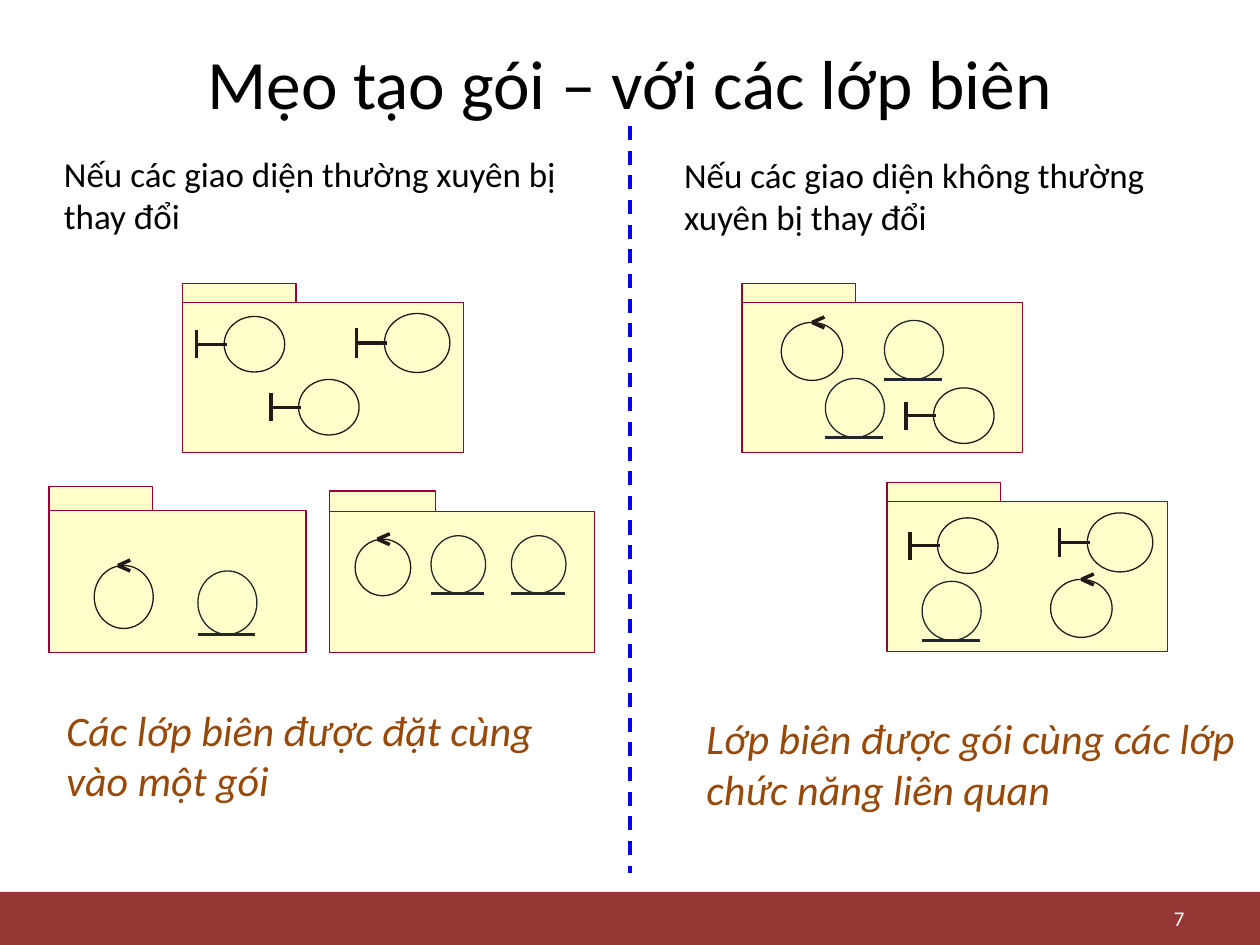
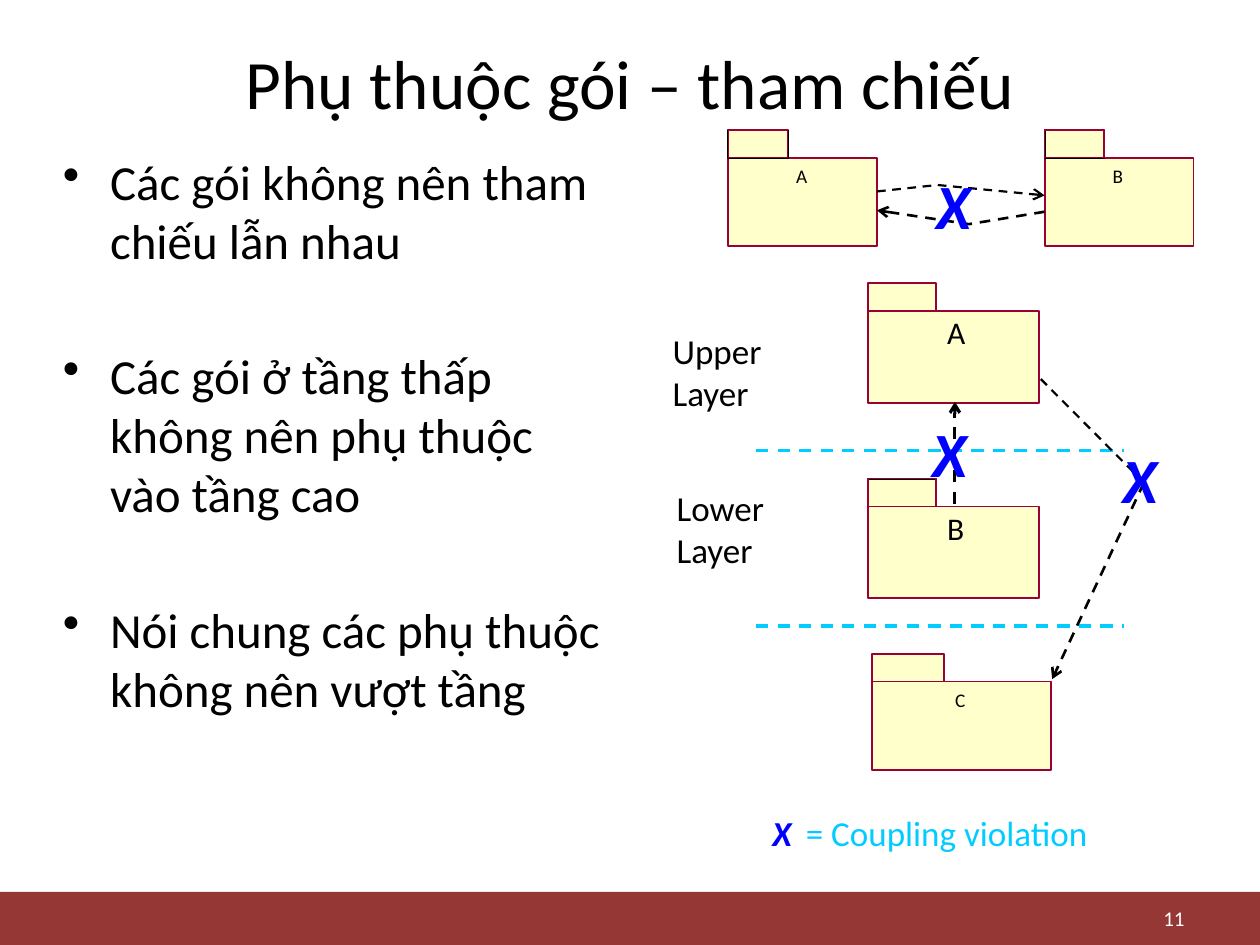
from dataclasses import dataclass

from lxml.etree import SubElement
from pptx import Presentation
from pptx.dml.color import RGBColor
from pptx.enum.dml import MSO_LINE
from pptx.enum.shapes import MSO_CONNECTOR, MSO_SHAPE
from pptx.enum.text import MSO_ANCHOR, MSO_AUTO_SIZE, PP_ALIGN
from pptx.oxml.ns import qn
from pptx.util import Cm, Pt


@dataclass(frozen=True)
class TextStyle:
    size: float
    color: str = "000000"
    bold: bool = False
    italic: bool = False


@dataclass(frozen=True)
class Theme:
    font: str = "Calibri"
    band: str = "953735"
    package_fill: str = "FFFFCC"
    package_edge: str = "990033"
    ink: str = "1F1A17"
    entity_ink: str = "242728"
    black: str = "000000"
    divider: str = "0000FF"
    layer: str = "00CCFF"
    title: TextStyle = TextStyle(39.6)
    number: TextStyle = TextStyle(12, "FFFFFF")
    body: TextStyle = TextStyle(20)
    bullet: TextStyle = TextStyle(28)
    conclusion: TextStyle = TextStyle(24, "984807", italic=True)
    small_label: TextStyle = TextStyle(11)
    large_label: TextStyle = TextStyle(18)
    violation: TextStyle = TextStyle(36, "0000FF", bold=True, italic=True)
    legend_mark: TextStyle = TextStyle(20, "0000FF", bold=True, italic=True)
    legend_gap: TextStyle = TextStyle(36, "00CCFF", bold=True, italic=True)
    legend: TextStyle = TextStyle(20, "00CCFF")


THEME = Theme()
DEFAULT_INSETS = (0.25, 0.13)
WIDE_INSETS = (0.3, 0.15)


# Basic elements; every box is left, top, width, height in centimetres
def style_line(shape, color, width, dashed=False, arrow=False):
    shape.line.color.rgb = RGBColor.from_string(color)
    shape.line.width = Pt(width)
    if dashed:
        shape.line.dash_style = MSO_LINE.DASH
    if arrow:
        outline = shape.element.spPr.find(qn("a:ln"))
        SubElement(outline, qn("a:tailEnd"), type="arrow")


def add_preset(slide, kind, box, fill=None, line=None, width=0):
    shape = slide.shapes.add_shape(kind, *map(Cm, box))
    shape.shadow.inherit = False
    if fill:
        shape.fill.solid()
        shape.fill.fore_color.rgb = RGBColor.from_string(fill)
    else:
        shape.fill.background()
    if line:
        style_line(shape, line, width)
    else:
        shape.line.fill.background()
    return shape


def add_line(slide, start, end, color, width=0, **options):
    connector = slide.shapes.add_connector(
        MSO_CONNECTOR.STRAIGHT, *map(Cm, start + end))
    style_line(connector, color, width, **options)
    SubElement(connector.element.spPr, qn("a:effectLst"))


def add_bent_arrow(slide, points, width):
    start, *others = [(Cm(x), Cm(y)) for x, y in points]
    builder = slide.shapes.build_freeform(*start)
    builder.add_line_segments(others, close=False)
    shape = builder.convert_to_shape()
    shape.shadow.inherit = False
    shape.fill.background()
    style_line(shape, THEME.black, width, dashed=True, arrow=True)


def add_run(paragraph, text, style):
    run = paragraph.add_run()
    run.text = text
    font = run.font
    font.name = THEME.font
    font.size = Pt(style.size)
    font.bold = style.bold
    font.italic = style.italic
    font.color.rgb = RGBColor.from_string(style.color)


def add_text(slide, box, paragraphs, insets=WIDE_INSETS, wrap=True, grow=True,
             anchor=MSO_ANCHOR.TOP, align=PP_ALIGN.LEFT):
    """Each paragraph is a list of (text, style) runs."""
    frame = slide.shapes.add_textbox(*map(Cm, box)).text_frame
    frame.word_wrap = wrap
    frame.auto_size = (MSO_AUTO_SIZE.SHAPE_TO_FIT_TEXT if grow
                       else MSO_AUTO_SIZE.NONE)
    frame.vertical_anchor = anchor
    frame.margin_left = frame.margin_right = Cm(insets[0])
    frame.margin_top = frame.margin_bottom = Cm(insets[1])
    for index, runs in enumerate(paragraphs):
        paragraph = frame.add_paragraph() if index else frame.paragraphs[0]
        paragraph.alignment = align
        for text, style in runs:
            add_run(paragraph, text, style)
    return frame


def add_bullets(slide, box, items, gap):
    frame = add_text(slide, box, [[(item, THEME.bullet)] for item in items],
                     insets=DEFAULT_INSETS, grow=False)
    for index, paragraph in enumerate(frame.paragraphs):
        paragraph.space_before = Pt(gap if index else 0)
        properties = paragraph._p.get_or_add_pPr()
        properties.set("marL", str(Cm(0.95)))
        properties.set("indent", str(-Cm(0.95)))
        SubElement(properties, qn("a:buChar"), char="•")


# Packages and class symbols
def add_package(slide, body, tab_size, width=0, black_tab=False):
    left, top = body[:2]
    tab_width, tab_height = tab_size
    tab = (left, top - tab_height, tab_width, tab_height)
    fill, edge = THEME.package_fill, THEME.package_edge
    add_preset(slide, MSO_SHAPE.RECTANGLE, body, fill, edge, width)
    if black_tab:
        add_preset(slide, MSO_SHAPE.RECTANGLE, tab, fill, THEME.black, width)
        add_preset(slide, MSO_SHAPE.RECTANGLE, tab, line=edge)
    else:
        add_preset(slide, MSO_SHAPE.RECTANGLE, tab, fill, edge, width)


def add_package_label(slide, body, text, style, drop):
    left, top, width, _ = body
    add_text(slide, (left + width / 2 - 0.13, top + drop, 0.25, 0.43),
             [[(text, style)]], insets=(0, 0), wrap=False)


def add_circle(slide, box, color):
    add_preset(slide, MSO_SHAPE.OVAL, box, THEME.package_fill, color)


def add_boundary(slide, left, top, width=1.22, height=1.12):
    add_circle(slide, (left, top, width, height), THEME.ink)
    bar, middle = left - 0.56, top + height / 2
    add_line(slide, (bar, middle - height / 4), (bar, middle + height / 4), THEME.ink)
    add_line(slide, (bar, middle), (left + 0.05, middle), THEME.ink)


def add_control(slide, left, top, width=1.24, height=1.17, tip_share=0.5):
    add_circle(slide, (left, top, width, height), THEME.ink)
    tip = left + width * tip_share
    for rise in (-0.11, 0.11):
        add_line(slide, (tip + 0.25, top + rise), (tip, top), THEME.ink)


def add_entity(slide, left, top, width=1.19, height=1.19):
    add_circle(slide, (left, top, width, height), THEME.entity_ink)
    base = top + height
    add_line(slide, (left, base), (left + width - 0.03, base), THEME.entity_ink)


# Shared slide frame
def add_slide(presentation, title, number):
    slide = presentation.slides.add_slide(presentation.slide_layouts[6])
    add_preset(slide, MSO_SHAPE.RECTANGLE, (0, 17.98, 25.4, 1.07), THEME.band)
    common = dict(insets=DEFAULT_INSETS, grow=False, anchor=MSO_ANCHOR.MIDDLE)
    add_text(slide, (1.27, 0.76, 22.86, 1.78), [[(title, THEME.title)]],
             align=PP_ALIGN.CENTER, **common)
    add_text(slide, (18.21, 18.16, 5.92, 0.69), [[(str(number), THEME.number)]],
             align=PP_ALIGN.RIGHT, **common)
    return slide


def build_boundary_slide(presentation):
    slide = add_slide(presentation, "Mẹo tạo gói – với các lớp biên", 7)

    # Left: boundary classes in a package of their own
    add_package(slide, (3.68, 6.1, 5.66, 3.02), (2.29, 0.38))
    add_boundary(slide, 7.75, 6.32, 1.32, 1.19)
    add_boundary(slide, 6.02, 7.65)
    add_boundary(slide, 4.52, 6.38)
    add_package(slide, (0.99, 10.29, 5.18, 2.87), (2.08, 0.48))
    add_control(slide, 1.9, 11.4, 1.19, 1.27, tip_share=0.4)
    add_entity(slide, 3.99, 11.51, 1.19, 1.28)
    add_package(slide, (6.65, 10.31, 5.33, 2.84), (2.13, 0.41))
    add_control(slide, 7.16, 10.87, 1.12, 1.14, tip_share=0.4)
    for left in (8.69, 10.31):
        add_entity(slide, left, 10.8, 1.1, 1.16)

    # Right: boundary classes packed with related classes
    add_package(slide, (14.96, 6.1, 5.66, 3.02), (2.29, 0.38))
    add_control(slide, 15.75, 6.5)
    add_entity(slide, 17.83, 6.46)
    add_boundary(slide, 18.82, 7.82)
    add_entity(slide, 16.64, 7.63)
    add_package(slide, (17.88, 10.11, 5.66, 3.02), (2.29, 0.38))
    add_boundary(slide, 21.92, 10.34, 1.32, 1.19)
    add_boundary(slide, 18.9, 10.44)
    add_entity(slide, 18.59, 11.72)
    add_control(slide, 21.18, 11.68)

    # Divider, conditions and conclusions
    add_line(slide, (12.7, 2.54), (12.7, 17.6), THEME.divider, 2, dashed=True)
    for left, top, text in (
            (0.99, 2.92, "Nếu các giao diện thường xuyên bị thay đổi"),
            (13.49, 2.95, "Nếu các giao diện không thường xuyên bị thay đổi")):
        add_text(slide, (left, top, 11, 2.01), [[(text, THEME.body)]])
    for box, lines in (
            ((1.04, 14.05, 10.11, 2.36),
             ("Các lớp biên được đặt cùng", "vào một gói")),
            ((13.94, 14.22, 11.35, 2.36),
             ("Lớp biên được gói cùng các lớp", "chức năng liên quan"))):
        add_text(slide, box, [[(line, THEME.conclusion)] for line in lines],
                 wrap=False)


def build_dependency_slide(presentation):
    slide = add_slide(presentation, "Phụ thuộc gói – tham chiếu", 11)
    add_bullets(slide, (1.02, 2.92, 11.58, 14.02), (
        "Các gói không nên tham chiếu lẫn nhau",
        "Các gói ở tầng thấp không nên phụ thuộc vào tầng cao",
        "Nói chung các phụ thuộc không nên vượt tầng"), gap=44)

    # Layer borders
    for height in (9.09, 12.62):
        add_line(slide, (15.24, height), (22.66, height), THEME.layer, 1.75,
                 dashed=True)

    # Packages
    small, large = (THEME.small_label, 0.13), (THEME.large_label, 0.05)
    for name, body, tab_width, black_tab, label in (
            ("A", (17.5, 6.27, 3.45, 1.85), 1.37, False, large),
            ("B", (17.5, 10.21, 3.45, 1.85), 1.37, True, large),
            ("A", (14.68, 3.18, 3, 1.78), 1.2, True, small),
            ("B", (21.06, 3.18, 3, 1.78), 1.2, True, small),
            ("C", (17.58, 13.74, 3.61, 1.78), 1.45, False, small)):
        add_package(slide, body, (tab_width, 0.56), 1, black_tab)
        add_package_label(slide, body, name, *label)

    # Dependencies
    add_bent_arrow(slide, ((21.06, 4.27), (19.53, 4.52), (17.68, 4.24)), 1.5)
    add_bent_arrow(slide, ((17.68, 3.86), (18.9, 3.73), (21.06, 3.94)), 1.25)
    add_line(slide, (19.25, 10.16), (19.25, 8.1), THEME.black, 1.75,
             dashed=True, arrow=True)
    bend = (23.06, 9.73)
    add_line(slide, bend, (21.21, 13.69), THEME.black, 1.5, dashed=True, arrow=True)
    add_line(slide, bend, (20.96, 7.62), THEME.black, 1.25, dashed=True)

    # Violations, layer names and legend
    for left, top in ((18.49, 8.2), (22.33, 8.74), (18.57, 3.2)):
        add_text(slide, (left, top, 1.63, 1.83), [[("X", THEME.violation)]])
    for left, top, name in ((13.26, 6.5, "Upper Layer"), (13.34, 9.65, "Lower Layer")):
        add_text(slide, (left, top, 2.54, 1.98), [[(name, THEME.body)]])
    add_text(slide, (15.27, 15.65, 8.05, 1.83), [[
        ("X", THEME.legend_mark), (" ", THEME.legend_gap),
        ("= Coupling violation", THEME.legend)]])


def main():
    presentation = Presentation()
    presentation.slide_width = Cm(25.4)
    presentation.slide_height = Cm(19.05)
    build_boundary_slide(presentation)
    build_dependency_slide(presentation)
    presentation.save("out.pptx")


if __name__ == "__main__":
    main()
